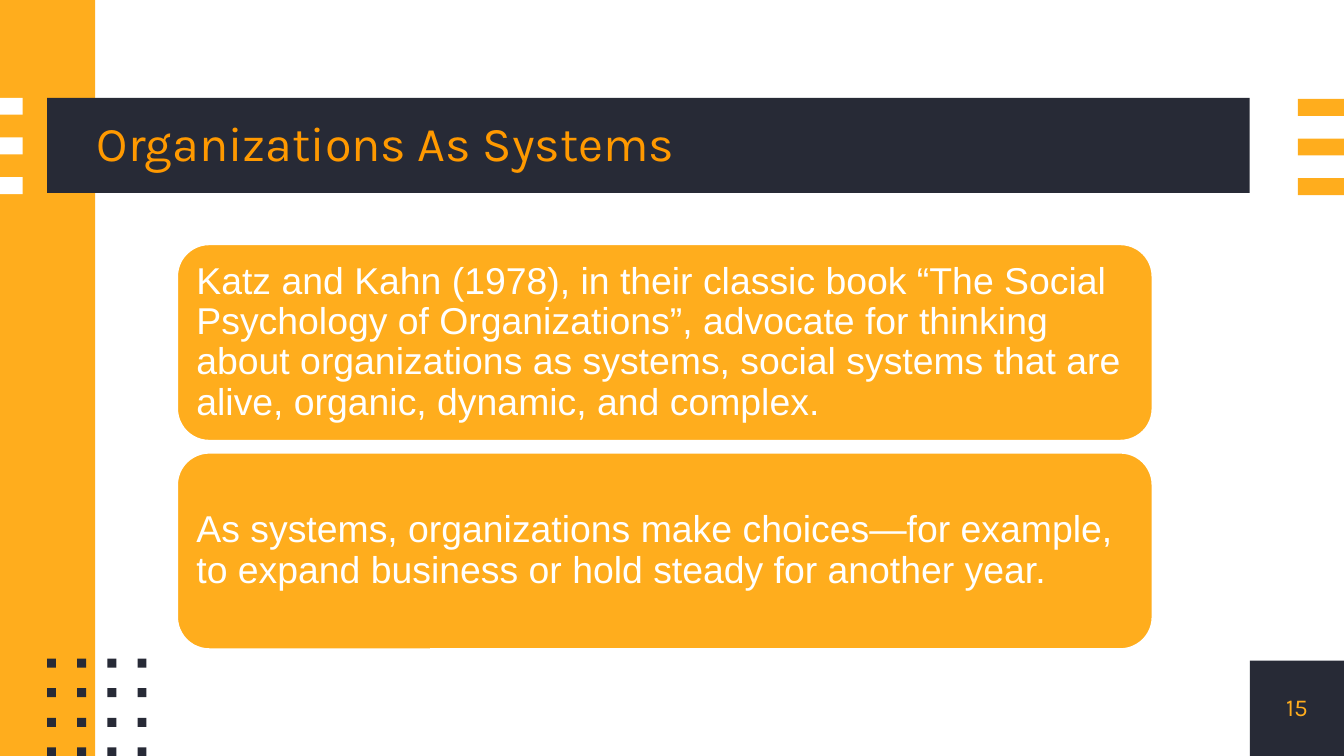
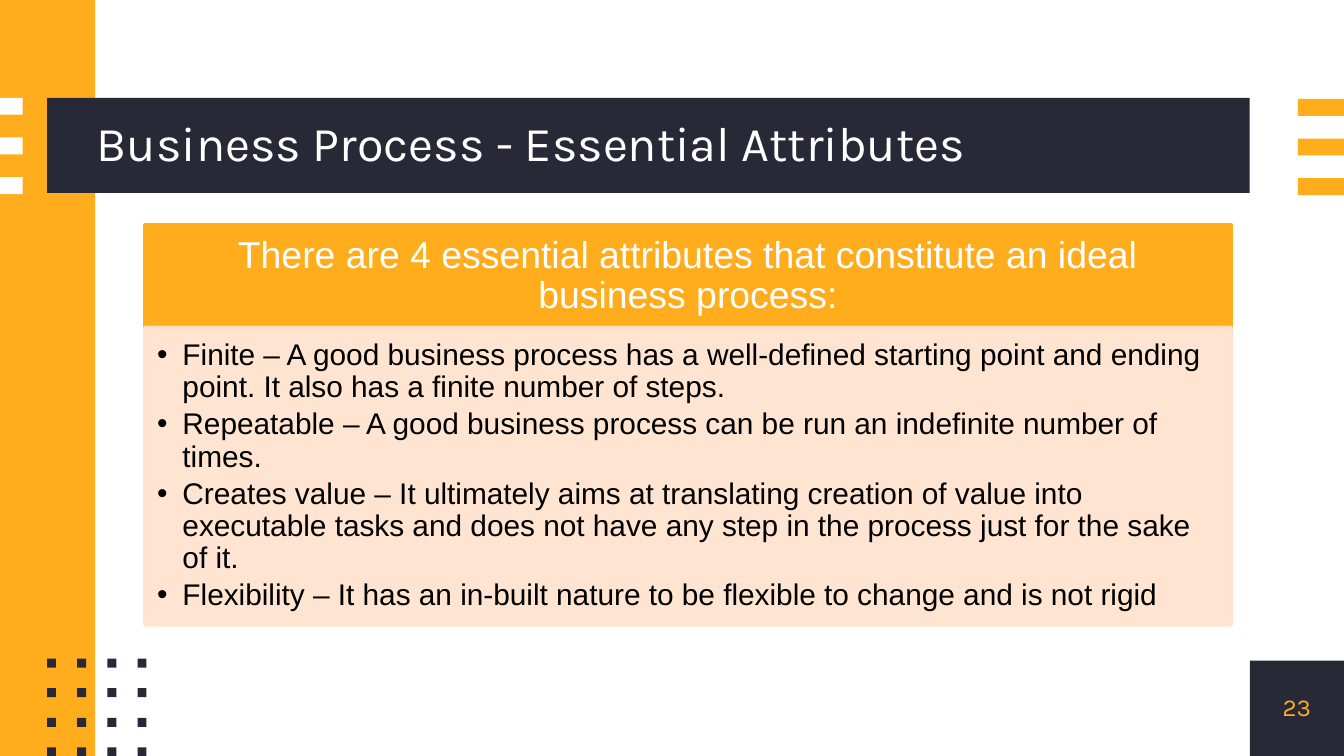
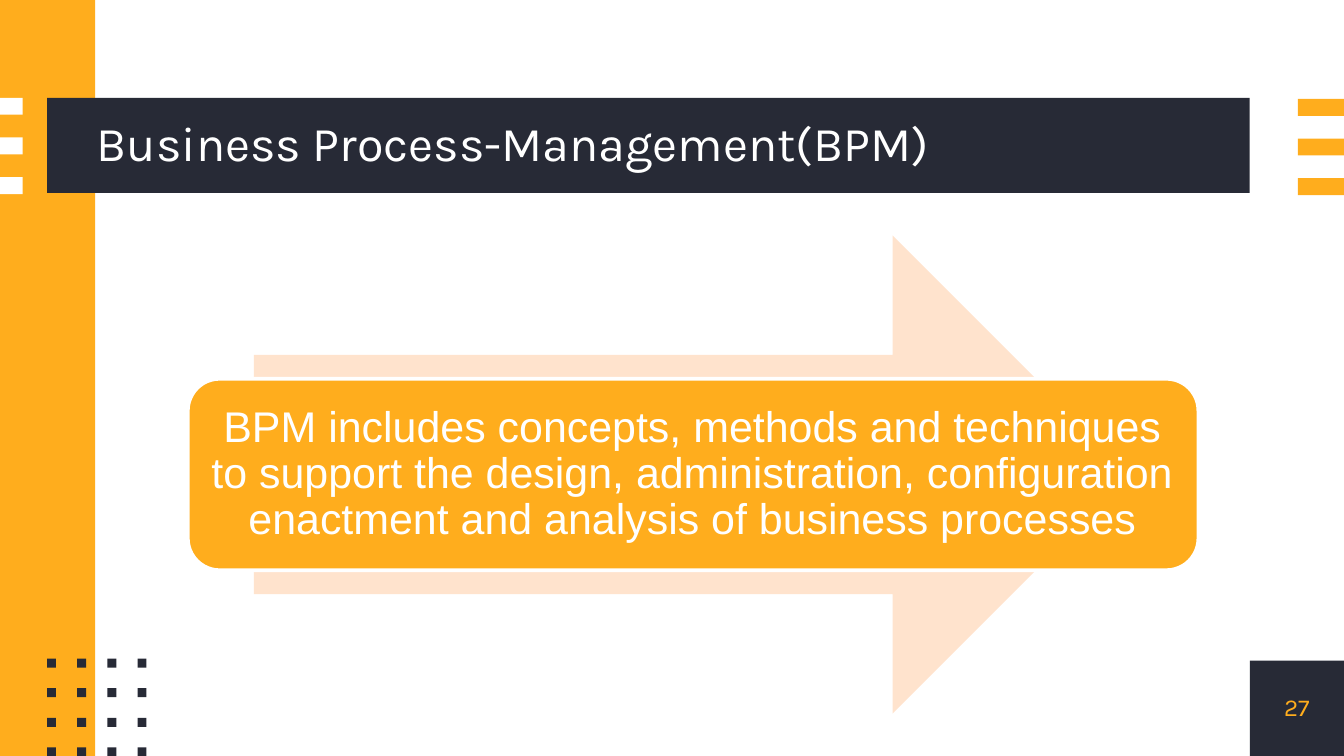
import pptx
import pptx.dml.color
import pptx.enum.shapes
import pptx.enum.text
import pptx.oxml
import pptx.oxml.ns
import pptx.util
from lxml import etree

Cm = pptx.util.Cm
Pt = pptx.util.Pt
RGBColor = pptx.dml.color.RGBColor
SHAPE = pptx.enum.shapes.MSO_SHAPE
ALIGN = pptx.enum.text.PP_ALIGN
ANCHOR = pptx.enum.text.MSO_ANCHOR
qn = pptx.oxml.ns.qn

# Content
SYSTEMS = {
    "title": "Organizations As Systems",
    "number": "15",
    "statements": [
        "Katz and Kahn (1978), in their classic book “The Social Psychology of "
        "Organizations”, advocate for thinking about organizations as systems, "
        "social systems that are alive, organic, dynamic, and complex.",
        "As systems, organizations make choices—for example, to expand business "
        "or hold steady for another year.",
    ],
}
ATTRIBUTES = {
    "title": "Business Process - Essential Attributes",
    "number": "23",
    "heading": "There are 4 essential attributes that constitute an ideal business process:",
    "attributes": [
        "Finite – A good business process has a well-defined starting point and "
        "ending point. It also has a finite number of steps.",
        "Repeatable – A good business process can be run an indefinite number of times.",
        "Creates value – It ultimately aims at translating creation of value into "
        "executable tasks and does not have any step in the process just for the "
        "sake of it.",
        "Flexibility – It has an in-built nature to be flexible to change and is not rigid",
    ],
}
MANAGEMENT = {
    "title": "Business Process-Management(BPM)",
    "number": "27",
    "definition": "BPM includes concepts, methods and techniques to support the design, "
                  "administration, configuration enactment and analysis of business processes",
}

# Shared look
WHITE = RGBColor(0xFF, 0xFF, 0xFF)
BLACK = RGBColor(0x00, 0x00, 0x00)
NAVY = RGBColor(0x27, 0x2A, 0x36)
AMBER = RGBColor(0xFF, 0xAD, 0x1D)
ORANGE = RGBColor(0xFF, 0x99, 0x00)
PEACH = RGBColor(0xFF, 0xE3, 0xCD)
TITLE_FONT, BODY_FONT = "Karla", "Arial"

SLIDE_W, SLIDE_H = 25.4, 14.29
UNIT = 1.8                      # side column, title band and number box
BAND_LEFT, BAND_TOP = 0.89, 1.85
BAND_RIGHT = 23.62
DASH_H, DASH_STEP = 0.32, 0.75
DOT, DOT_LEFT, DOT_TOP = 0.17, 0.89, 12.45
DOT_STEP_X, DOT_STEP_Y = 0.57, 0.56
LINE_SPACING = 0.9


def add_block(slide, box, fill, kind=SHAPE.RECTANGLE, line=None):
    block = slide.shapes.add_shape(kind, *map(Cm, box))
    block.shadow.inherit = False
    block.fill.solid()
    block.fill.fore_color.rgb = fill
    if line is None:
        block.line.fill.background()
    else:
        block.line.color.rgb = line
        block.line.width = Pt(2)
    return block


def write(shape, text, size, color, font=BODY_FONT, align=ALIGN.LEFT,
          insets=(0, 0, 0, 0), anchor=ANCHOR.MIDDLE):
    """Fill a shape with text; insets run left, top, right, bottom in cm."""
    frame = shape.text_frame
    frame.word_wrap = True
    frame.vertical_anchor = anchor
    (frame.margin_left, frame.margin_top,
     frame.margin_right, frame.margin_bottom) = map(Cm, insets)
    frame.text = text
    for paragraph in frame.paragraphs:
        paragraph.alignment = align
        paragraph.line_spacing = LINE_SPACING
        for run in paragraph.runs:
            run.font.name = font
            run.font.size = Pt(size)
            run.font.color.rgb = color


def add_bullet(paragraph, color, indent):
    properties = paragraph._p.get_or_add_pPr()
    properties.set("marL", str(Cm(indent)))
    properties.set("indent", str(-Cm(indent)))
    bullet_color = etree.SubElement(properties, qn("a:buClr"))
    etree.SubElement(bullet_color, qn("a:srgbClr"), val=str(color))
    etree.SubElement(properties, qn("a:buFont"), typeface=BODY_FONT)
    etree.SubElement(properties, qn("a:buChar"), char="•")


def set_opacity(shape, percent):
    for color in shape._element.spPr.iter(qn("a:srgbClr")):
        etree.SubElement(color, qn("a:alpha"), val=str(percent * 1000))


def add_frame(deck, content, title_color=WHITE):
    """Add a slide with the column, band, dashes, dots, title and number."""
    slide = deck.slides.add_slide(deck.slide_layouts[6])
    number_box = (BAND_RIGHT, SLIDE_H - UNIT, SLIDE_W - BAND_RIGHT, UNIT)
    add_block(slide, (0, 0, UNIT, SLIDE_H), AMBER)
    band = add_block(slide, (BAND_LEFT, BAND_TOP, BAND_RIGHT - BAND_LEFT, UNIT), NAVY)
    for row in range(3):
        top = BAND_TOP + row * DASH_STEP
        add_block(slide, (0, top, 0.43, DASH_H), WHITE)
        add_block(slide, (24.53, top + 0.02, 0.87, DASH_H), AMBER)
    for row in range(4):
        for column in range(4):
            add_block(slide, (DOT_LEFT + column * DOT_STEP_X,
                              DOT_TOP + row * DOT_STEP_Y, DOT, DOT), NAVY)
    write(band, content["title"], 26, title_color, TITLE_FONT, insets=(0.94, 0, 0, 0))
    number = add_block(slide, number_box, NAVY)
    write(number, content["number"], 13, AMBER, TITLE_FONT, ALIGN.CENTER)
    return slide


def build_systems(deck):
    slide = add_frame(deck, SYSTEMS, ORANGE)
    top, height, gap = 4.6, 3.75, 0.19
    for index, text in enumerate(SYSTEMS["statements"]):
        box = (3.33, top + index * (height + gap), 18.47, height)
        statement = add_block(slide, box, AMBER, SHAPE.ROUNDED_RECTANGLE, WHITE)
        write(statement, text, 20, WHITE, insets=(0.2,) * 4)


def build_attributes(deck):
    slide = add_frame(deck, ATTRIBUTES)
    left, top, width, heading_height = 2.74, 4.26, 20.53, 1.93
    heading = add_block(slide, (left, top, width, heading_height), AMBER, line=AMBER)
    write(heading, ATTRIBUTES["heading"], 20, WHITE, align=ALIGN.CENTER,
          insets=(0.41, 0.23, 0.41, 0.23))
    panel = add_block(slide, (left, top + heading_height, width, 5.62), PEACH, line=PEACH)
    set_opacity(panel, 90)
    write(panel, "\n".join(ATTRIBUTES["attributes"]), 16, BLACK,
          insets=(0.23, 0.23, 0.3, 0.36), anchor=ANCHOR.TOP)
    for paragraph in panel.text_frame.paragraphs:
        paragraph.level = 1
        paragraph.space_after = Pt(2.7)
        add_bullet(paragraph, BLACK, 0.48)


def build_management(deck):
    slide = add_frame(deck, MANAGEMENT)
    add_block(slide, (4.8, 4.45, 16.59, 9.04), PEACH, SHAPE.RIGHT_ARROW)
    definition = add_block(slide, (3.55, 7.16, 19.1, 3.62), AMBER,
                           SHAPE.ROUNDED_RECTANGLE, WHITE)
    write(definition, MANAGEMENT["definition"], 23, WHITE, align=ALIGN.CENTER,
          insets=(0.25,) * 4)


def main():
    deck = pptx.Presentation()
    deck.slide_width, deck.slide_height = Cm(SLIDE_W), Cm(SLIDE_H)
    build_systems(deck)
    build_attributes(deck)
    build_management(deck)
    deck.save("out.pptx")


if __name__ == "__main__":
    main()
